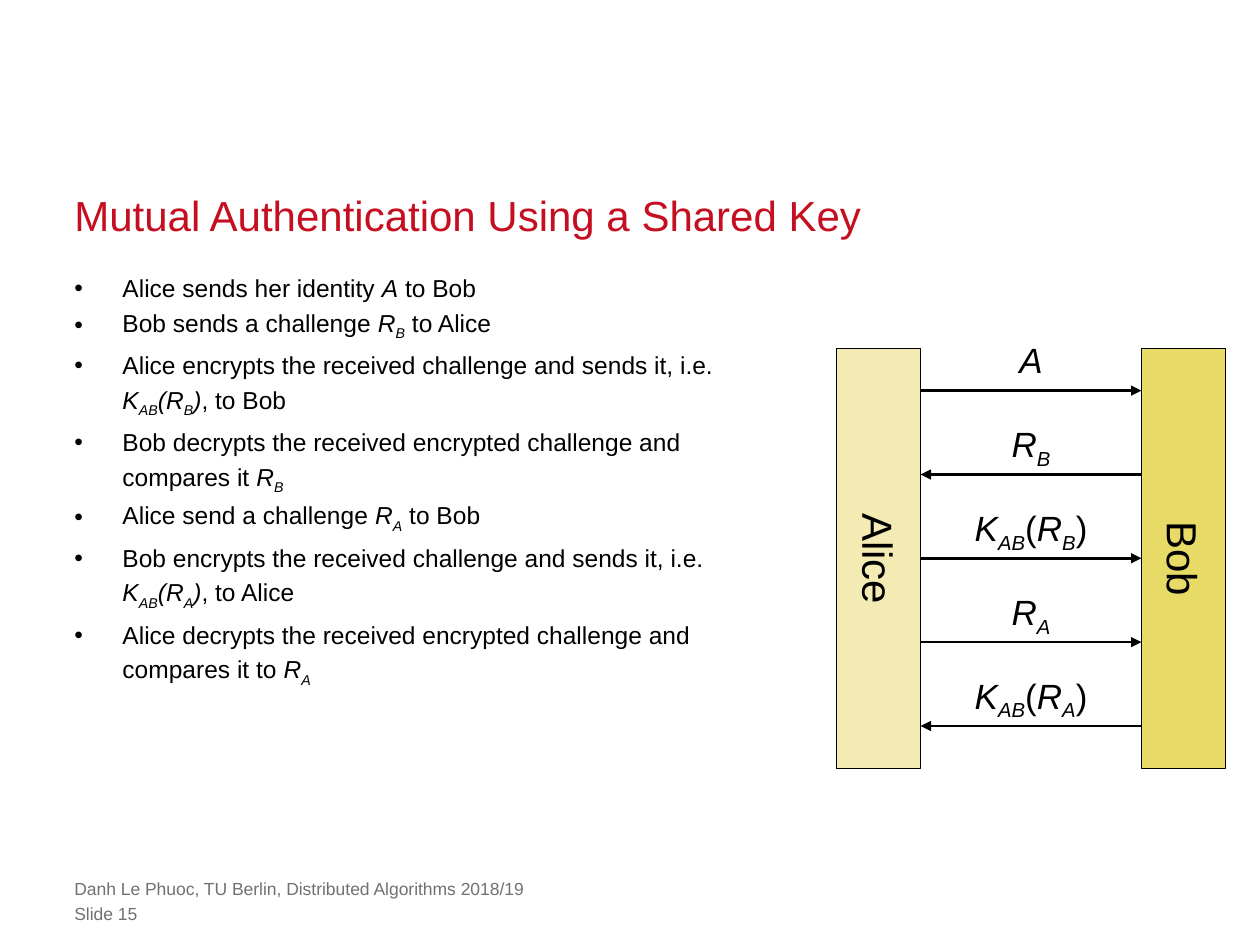
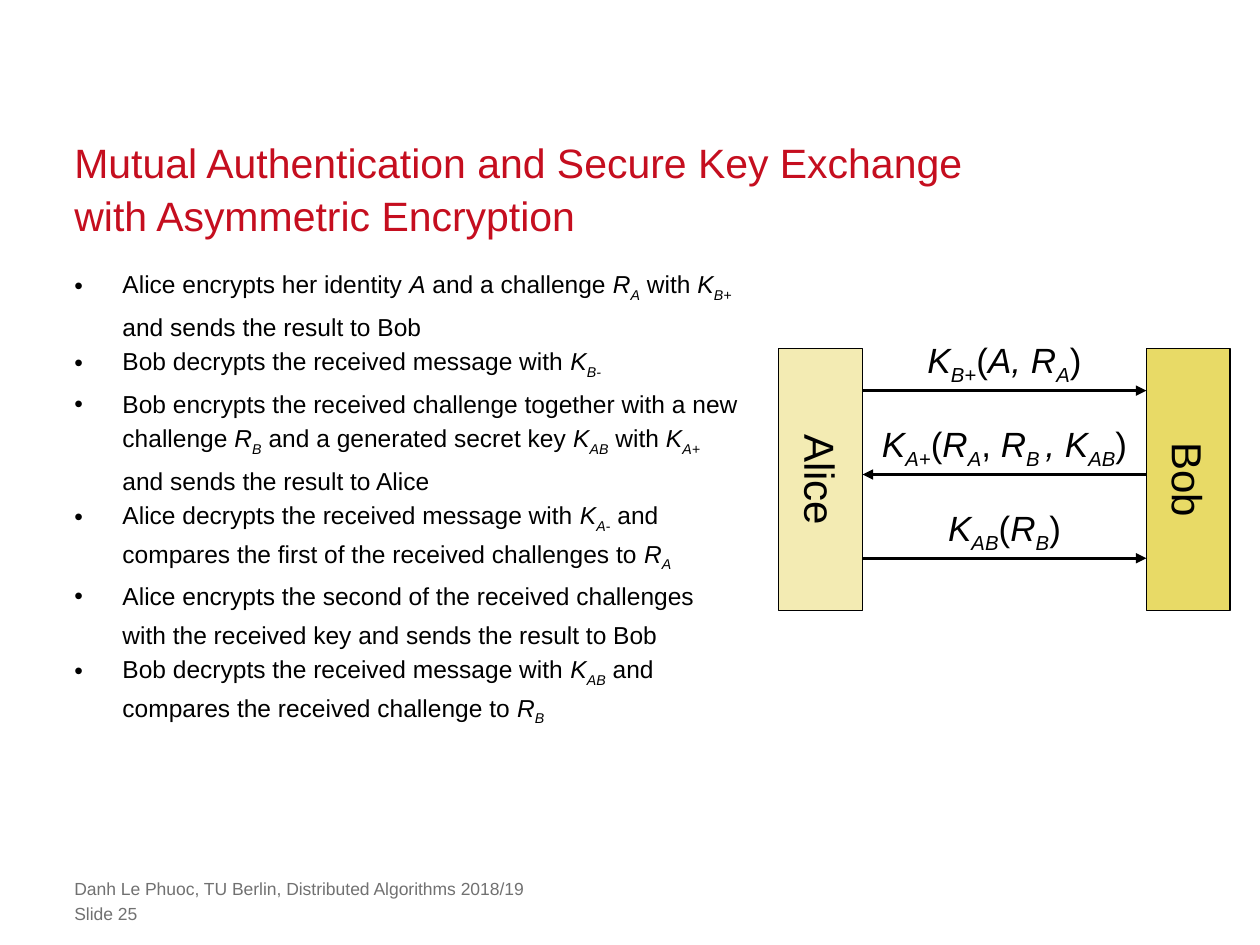
from lxml import etree
from pptx import Presentation
from pptx import util as u
from pptx.dml import color
from pptx.enum import shapes, text
from pptx.oxml import ns


def rgb(value):
    return color.RGBColor.from_string(value)


def write(slide, box, paragraphs, size, ink, frame_format, paragraph_format, bullet=False):
    area = slide.shapes.add_textbox(*[u.Cm(v) for v in box])
    frame = area.text_frame
    for key, value in frame_format.items():
        setattr(frame, key, value)
    for number, content in enumerate(paragraphs):
        paragraph = frame.add_paragraph() if number else frame.paragraphs[0]
        for key, value in paragraph_format.items():
            setattr(paragraph, key, value)
        if bullet:
            props = paragraph._p.get_or_add_pPr()
            props.set("marL", str(u.Cm(0.97)))
            props.set("indent", str(-u.Cm(0.97)))
            etree.SubElement(props, ns.qn("a:buFont")).set("typeface", "Arial")
            etree.SubElement(props, ns.qn("a:buChar")).set("char", "•")
        for row, line in enumerate(content.split("\n")):
            if row:
                paragraph.add_line_break()
            for i, part in enumerate(line.split("*")):
                for j, piece in enumerate(part.split("_")):
                    if not piece:
                        continue
                    run = paragraph.add_run()
                    run.text = piece
                    style = {"name": "Arial", "size": u.Pt(size), "italic": i % 2 == 1}
                    for key, value in style.items():
                        setattr(run.font, key, value)
                    run.font.color.rgb = rgb(ink)
                    if j % 2:
                        run.font._element.set("baseline", "-25000")
    return area


RED, BLACK, GREY = "C50E1F", "000000", "717171"
MARGIN, BAR_TOP, BAR_WIDTH, STEP = 1.5, 7.03, 1.69, 1.69
FLUSH = {"margin_left": 0, "margin_top": 0, "margin_right": 0, "margin_bottom": 0, "word_wrap": True}
TITLE = {**FLUSH, "vertical_anchor": text.MSO_ANCHOR.BOTTOM}
LABEL = {"word_wrap": False}
CENTRED = {"alignment": text.PP_ALIGN.CENTER}

protocols = [
    {
        "title": "Mutual Authentication Using a Shared Key",
        "title_size": 24,
        "number": 15,
        "steps_width": 13.59,
        "steps": [
            "Alice sends her identity *A* to Bob",
            "Bob sends a challenge *R_B_* to Alice",
            "Alice encrypts the received challenge and sends it, i.e. *K_AB_(R_B_)*, to Bob",
            "Bob decrypts the received encrypted challenge and compares it *R_B_*",
            "Alice send a challenge *R_A_* to Bob",
            "Bob encrypts the received challenge and sends it, i.e. *K_AB_(R_A_)*, to Alice",
            "Alice decrypts the received encrypted challenge and compares it to *R_A_*",
        ],
        "alice": 16.87,
        "bob": 23.01,
        "bar_height": 8.46,
        "messages": [
            ("*A*", 1, "Bob"),
            ("*R_B_*", 1.32, "Alice"),
            ("*K_AB_*(*R_B_*)", 2.87, "Bob"),
            ("*R_A_*", 1.32, "Bob"),
            ("*K_AB_*(*R_A_*)", 2.87, "Alice"),
        ],
    },
    {
        "title": "Mutual Authentication and Secure Key Exchange \nwith Asymmetric Encryption",
        "title_size": 23.4,
        "number": 25,
        "steps_width": 13.44,
        "steps": [
            "Alice encrypts her identity *A* and a challenge *R_A_* with *K_B+_* and sends the result to Bob",
            "Bob decrypts the received message with *K_B-_*",
            "Bob encrypts the received challenge together with a new challenge *R_B_* "
            "and a generated secret key *K_AB_* with *K_A+_* and sends the result to Alice",
            "Alice decrypts the received message with *K_A_*_-_ and compares "
            "the first of the received challenges to *R_A_*",
            "Alice encrypts the second of the received challenges "
            "with the received key and sends the result to Bob",
            "Bob decrypts the received message with *K_AB_* and compares the received challenge to *R_B_*",
        ],
        "alice": 15.7,
        "bob": 23.11,
        "bar_height": 5.28,
        "messages": [
            ("*K_B+_*(*A, R_A_*)", 3.71, "Bob"),
            ("*K_A+_*(*R_A_*, *R_B _, K_AB_*)", 5.64, "Alice"),
            ("*K_AB_*(*R_B_*)", 2.87, "Bob"),
        ],
    },
]

prs = Presentation()
prs.slide_width, prs.slide_height = u.Cm(25.4), u.Cm(19.05)

for protocol in protocols:
    slide = prs.slides.add_slide(prs.slide_layouts[6])
    write(slide, (MARGIN, 3.76, 22.4, 1.07), [protocol["title"]], protocol["title_size"], RED,
          TITLE, {"line_spacing": u.Pt(30)})
    write(slide, (MARGIN, 5.33, protocol["steps_width"], 11.3), protocol["steps"], 14, BLACK,
          FLUSH, {"line_spacing": u.Pt(22)}, bullet=True)
    footers = ["Danh Le Phuoc, TU Berlin, Distributed Algorithms 2018/19", f"Slide {protocol['number']}"]
    for row, footer in enumerate(footers):
        write(slide, (MARGIN, 17.7 + 0.51 * row, 18.39, 0.43), [footer], 10, GREY, FLUSH, {})

    height = protocol["bar_height"]
    for party, left, tint, length in [("Alice", protocol["alice"], "F3EBB3", 2.36),
                                      ("Bob", protocol["bob"], "E8DA66", 2.02)]:
        bar = slide.shapes.add_shape(shapes.MSO_SHAPE.RECTANGLE,
                                     *[u.Cm(v) for v in (left, BAR_TOP, BAR_WIDTH, height)])
        bar.shadow.inherit = False
        bar.fill.solid()
        bar.fill.fore_color.rgb = rgb(tint)
        bar.line.color.rgb = rgb(BLACK)
        bar.line.width = u.Pt(0.75)
        box = (left + (BAR_WIDTH - length) / 2, BAR_TOP + (height - 1.28) / 2, length, 1.28)
        write(slide, box, [party], 24, BLACK, LABEL, CENTRED).rotation = 90

    start, stop = protocol["alice"] + BAR_WIDTH, protocol["bob"]
    for row, (message, width, receiver) in enumerate(protocol["messages"]):
        y = BAR_TOP + STEP * (row + 0.5)
        origin, target = (start, stop) if receiver == "Bob" else (stop, start)
        arrow = slide.shapes.add_connector(shapes.MSO_CONNECTOR.STRAIGHT,
                                           *[u.Cm(v) for v in (origin, y, target, y)])
        arrow.line.color.rgb = rgb(BLACK)
        arrow.line.width = u.Pt(1.5)
        etree.SubElement(arrow.line._get_or_add_ln(), ns.qn("a:tailEnd")).set("type", "triangle")
        etree.SubElement(arrow._element.spPr, ns.qn("a:effectLst"))
        write(slide, ((start + stop - width) / 2, y - 1.17, width, 1.1), [message], 20, BLACK,
              LABEL, CENTRED)

prs.save("out.pptx")
